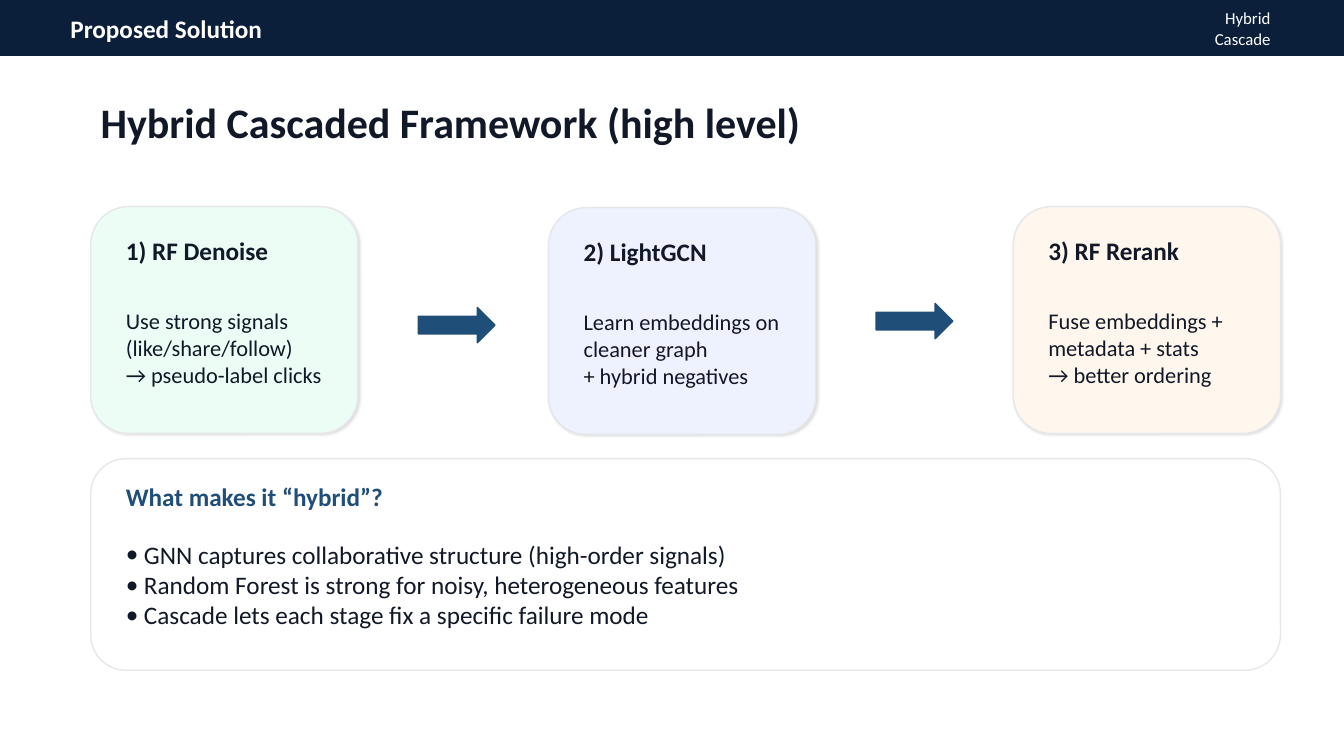
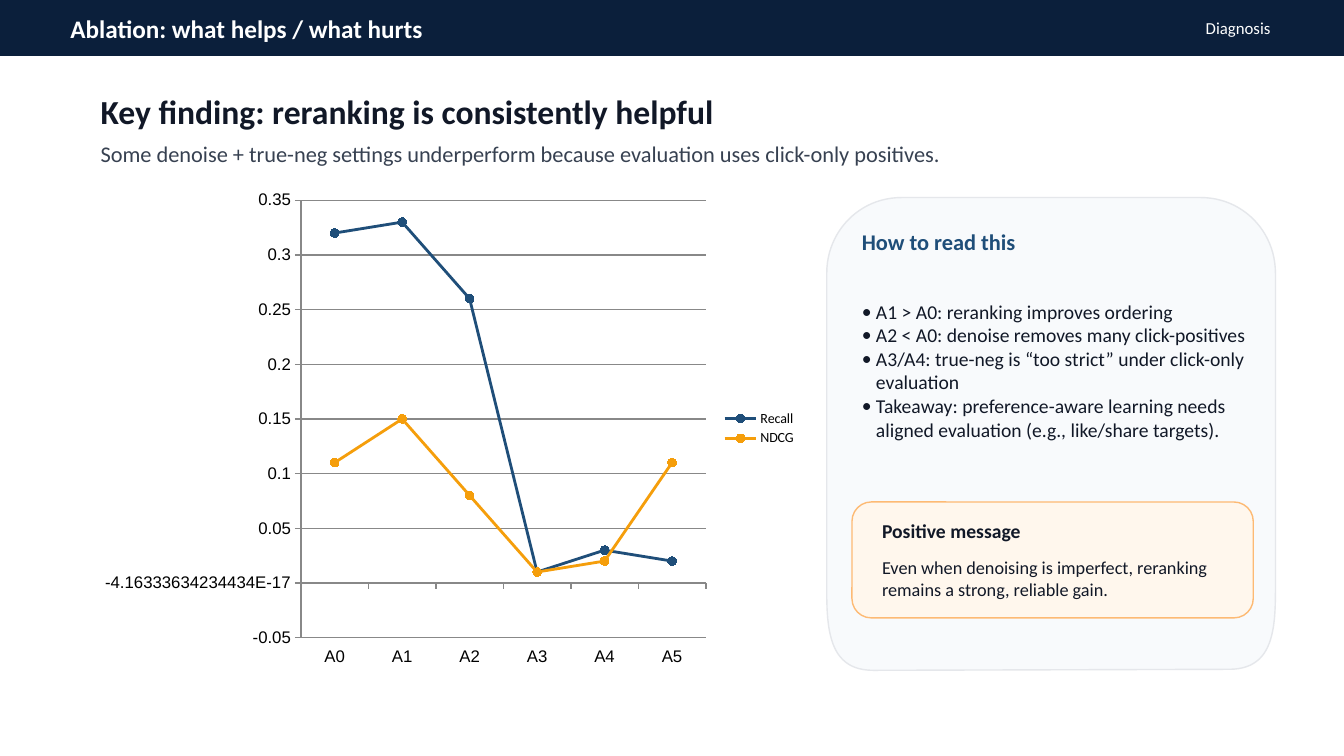
from dataclasses import dataclass
from typing import NamedTuple

from lxml import etree
from pptx import Presentation
from pptx.chart.data import CategoryChartData
from pptx.dml.color import RGBColor
from pptx.enum.chart import XL_CHART_TYPE, XL_LEGEND_POSITION, XL_MARKER_STYLE, XL_TICK_LABEL_POSITION
from pptx.enum.shapes import MSO_SHAPE
from pptx.enum.text import MSO_ANCHOR, PP_ALIGN
from pptx.oxml.ns import qn
from pptx.shapes.base import BaseShape
from pptx.slide import Slide
from pptx.util import Inches, Pt

RECT, ROUND, ARROW = MSO_SHAPE.RECTANGLE, MSO_SHAPE.ROUNDED_RECTANGLE, MSO_SHAPE.RIGHT_ARROW
LEFT, RIGHT, MIDDLE = PP_ALIGN.LEFT, PP_ALIGN.RIGHT, MSO_ANCHOR.MIDDLE
LINE, CIRCLE = XL_CHART_TYPE.LINE_MARKERS, XL_MARKER_STYLE.CIRCLE
LOW, SIDE = XL_TICK_LABEL_POSITION.LOW, XL_LEGEND_POSITION.RIGHT

CELL = 0.1
COLS, ROWS = 133.3, 75
FONT = "Calibri"
COLORS = {
    "navy": "0B1F3B", "blue": "1F4E79", "ink": "111827", "slate": "374151",
    "white": "FFFFFF", "edge": "E5E7EB", "mint": "ECFDF5", "lilac": "EEF2FF",
    "cream": "FFF7ED", "peach": "FDBA74", "mist": "F8FAFC", "amber": "F59E0B",
    "gray": "888888", "black": "000000",
}


class Box(NamedTuple):
    col: float
    row: float
    wide: float
    high: float


class Style(NamedTuple):
    size: float
    color: str = "ink"
    bold: bool = False


@dataclass
class Card:
    col: float
    row: float
    fill: str
    head: str
    lines: list[str]


BAND = Box(0, 0, COLS, 5.5)
CARD_WIDE, CARD_HIGH, PAD = 26.5, 22.5, 2.5
CARDS = [
    Card(9, 20.5, "mint", "1) RF Denoise",
         ["Use strong signals", "(like/share/follow)", "→ pseudo-label clicks"]),
    Card(54.4, 20.6, "lilac", "2) LightGCN",
         ["Learn embeddings on", "cleaner graph", "+ hybrid negatives"]),
    Card(100.5, 20.5, "cream", "3) RF Rerank",
         ["Fuse embeddings +", "metadata + stats", "→ better ordering"]),
]
ARROWS = [Box(41.5, 30.5, 7.6, 3.5), Box(86.9, 30.1, 7.6, 3.5)]
TRAITS = [
    "GNN captures collaborative structure (high-order signals)",
    "Random Forest is strong for noisy, heterogeneous features",
    "Cascade lets each stage fix a specific failure mode",
]
NOTES = [
    "A1 > A0: reranking improves ordering",
    "A2 < A0: denoise removes many click-positives",
    "A3/A4: true-neg is “too strict” under click-only evaluation",
    "Takeaway: preference-aware learning needs aligned evaluation (e.g., like/share targets).",
]
STAGES = ["A0", "A1", "A2", "A3", "A4", "A5"]
SCORES = [
    ("Recall", "blue", [0.32, 0.33, 0.26, 0.01, 0.03, 0.02]),
    ("NDCG", "amber", [0.11, 0.15, 0.08, 0.01, 0.02, 0.11]),
]
PANEL = [
    [(82, 27.1), (82, 22.9), (85.3, 19.6), (89.4, 19.6)],
    [(119.1, 19.6), (123.2, 19.6), (126.5, 22.9), (126.5, 27.1)],
    [(126.5, 58.8), (126.5, 63), (126, 66.4), (121.9, 66.4)],
    [(86.6, 66.5), (82.5, 66.5), (82, 63), (82, 58.8)],
]


def span(cells: float) -> int:
    return Inches(cells * CELL)


def place(box: Box) -> list[int]:
    return [span(cells) for cells in box]


def shade(name: str) -> RGBColor:
    return RGBColor.from_string(COLORS[name])


def paint(shape: BaseShape, fill: str, edge: str) -> None:
    shape.shadow.inherit = False
    shape.fill.solid()
    shape.fill.fore_color.rgb = shade(fill)
    shape.line.color.rgb = shade(edge)
    shape.line.width = Pt(1)


def add_form(slide: Slide, kind: int, box: Box, fill: str, edge: str) -> BaseShape:
    shape = slide.shapes.add_shape(kind, *place(box))
    paint(shape, fill, edge)
    return shape


def cast(shape: BaseShape) -> None:
    effects = shape._element.spPr.find(qn("a:effectLst"))
    outer = etree.SubElement(effects, qn("a:outerShdw"), blurRad=str(Pt(2)),
                             dist=str(Pt(1)), dir=str(45 * 60000))
    color = etree.SubElement(outer, qn("a:srgbClr"), val=COLORS["black"])
    etree.SubElement(color, qn("a:alpha"), val="12000")


def add_text(slide: Slide, box: Box, lines: list[str], style: Style,
             align: int = LEFT, dots: bool = False) -> None:
    frame = slide.shapes.add_textbox(*place(box)).text_frame
    frame.word_wrap = True
    frame.vertical_anchor = MIDDLE
    for index, line in enumerate(lines):
        para = frame.add_paragraph() if index else frame.paragraphs[0]
        para.alignment = align
        if dots:
            props = para._p.get_or_add_pPr()
            indent = Pt(style.size * 0.72)
            props.set("marL", str(indent))
            props.set("indent", str(-indent))
            etree.SubElement(props, qn("a:buFont"), typeface=FONT)
            etree.SubElement(props, qn("a:buChar"), char="•")
        run = para.add_run()
        run.text = line
        run.font.name = FONT
        run.font.size = Pt(style.size)
        run.font.bold = style.bold
        run.font.color.rgb = shade(style.color)


def add_page(deck: Presentation, topic: str, tag: str) -> Slide:
    slide = deck.slides.add_slide(deck.slide_layouts[6])
    add_form(slide, RECT, BAND, "navy", "navy")
    add_text(slide, Box(6, 1.2, 110, 3.2), [topic], Style(18, "white", True))
    add_text(slide, Box(117, 1.4, 10, 2.8), [tag], Style(12, "white"), RIGHT)
    return slide


def add_card(slide: Slide, card: Card) -> None:
    cast(add_form(slide, ROUND, Box(card.col, card.row, CARD_WIDE, CARD_HIGH), card.fill, "edge"))
    left, wide = card.col + PAD, CARD_WIDE - PAD
    add_text(slide, Box(left, card.row + PAD, wide, 3.6), [card.head], Style(18, bold=True))
    add_text(slide, Box(left, card.row + 7, wide, 14), card.lines, Style(16))


def trace(curve: list[tuple[float, float]], steps: int = 24) -> list[tuple[float, float]]:
    points = []
    for step in range(steps + 1):
        t = step / steps
        shares = [(1 - t) ** 3, 3 * t * (1 - t) ** 2, 3 * t * t * (1 - t), t ** 3]
        points.append((sum(s * p[0] for s, p in zip(shares, curve)),
                       sum(s * p[1] for s, p in zip(shares, curve))))
    return points


def add_panel(slide: Slide) -> None:
    points = [(span(x), span(y)) for curve in PANEL for x, y in trace(curve)]
    outline = slide.shapes.build_freeform(*points[0])
    outline.add_line_segments(points[1:], close=True)
    paint(outline.convert_to_shape(), "mist", "edge")


def add_plot(slide: Slide, box: Box) -> None:
    data = CategoryChartData()
    data.categories = STAGES
    for name, _, values in SCORES:
        data.add_series(name, values)
    chart = slide.shapes.add_chart(LINE, *place(box), data).chart
    chart.has_title = False
    chart.font.name, chart.font.size = FONT, Pt(10)
    chart.font.color.rgb = shade("black")
    chart.has_legend = True
    chart.legend.position = SIDE
    chart.legend.include_in_layout = False
    scale = chart.value_axis
    scale.maximum_scale = 0.35
    scale.has_major_gridlines = True
    scale.tick_labels.number_format = "General"
    scale.tick_labels.number_format_is_linked = False
    chart.category_axis.tick_label_position = LOW
    for axis in (scale, chart.category_axis):
        font = axis.tick_labels.font
        font.name, font.size = "Arial", Pt(12)
        font.color.rgb = shade("black")
    for line in (scale.format.line, chart.category_axis.format.line,
                 scale.major_gridlines.format.line):
        line.color.rgb = shade("gray")
        line.width = Pt(1)
    plot = chart.plots[0]
    plot.vary_by_categories = False
    for series, (_, color, _) in zip(plot.series, SCORES):
        series.smooth = False
        series.format.line.color.rgb = shade(color)
        series.format.line.width = Pt(2)
        mark = series.marker
        mark.style, mark.size = CIRCLE, 6
        mark.format.fill.solid()
        mark.format.fill.fore_color.rgb = shade(color)
        mark.format.line.color.rgb = shade(color)


def draw_frame(deck: Presentation) -> None:
    slide = add_page(deck, "Proposed Solution", "Hybrid Cascade")
    add_text(slide, Box(9, 9.1, 72.6, 6), ["Hybrid Cascaded Framework (high level)"],
             Style(30, bold=True))
    for card in CARDS:
        add_card(slide, card)
    for box in ARROWS:
        add_form(slide, ARROW, box, "blue", "blue")
    add_form(slide, ROUND, Box(9, 45.5, 118, 21), "white", "edge")
    add_text(slide, Box(11.5, 47.5, 115, 3.5), ["What makes it “hybrid”?"],
             Style(18, "blue", True))
    add_text(slide, Box(11.5, 51.5, 115, 13), TRAITS, Style(18), dots=True)


def draw_finding(deck: Presentation) -> None:
    slide = add_page(deck, "Ablation: what helps / what hurts", "Diagnosis")
    add_text(slide, Box(9, 8.5, 118, 5), ["Key finding: reranking is consistently helpful"],
             Style(24, bold=True))
    add_text(slide, Box(9, 13.2, 110.4, 4),
             ["Some denoise + true-neg settings underperform because evaluation uses "
              "click-only positives."], Style(16, "slate"))
    add_plot(slide, Box(9, 18, 71, 49))
    add_panel(slide)
    add_text(slide, Box(84.5, 22.2, 30, 3.5), ["How to read this"], Style(16, "blue", True))
    add_text(slide, Box(84.5, 28.1, 42, 17.3), NOTES, Style(14), dots=True)
    add_form(slide, ROUND, Box(84.5, 49.8, 39.8, 11.5), "cream", "peach")
    add_text(slide, Box(86.5, 51.1, 32.9, 3), ["Positive message"], Style(14, bold=True))
    add_text(slide, Box(86.5, 54.1, 37.8, 6.5),
             ["Even when denoising is imperfect, reranking remains a strong, reliable gain."],
             Style(13))


def main() -> None:
    deck = Presentation()
    deck.slide_width, deck.slide_height = span(COLS), span(ROWS)
    draw_frame(deck)
    draw_finding(deck)
    deck.save("out.pptx")


if __name__ == "__main__":
    main()
